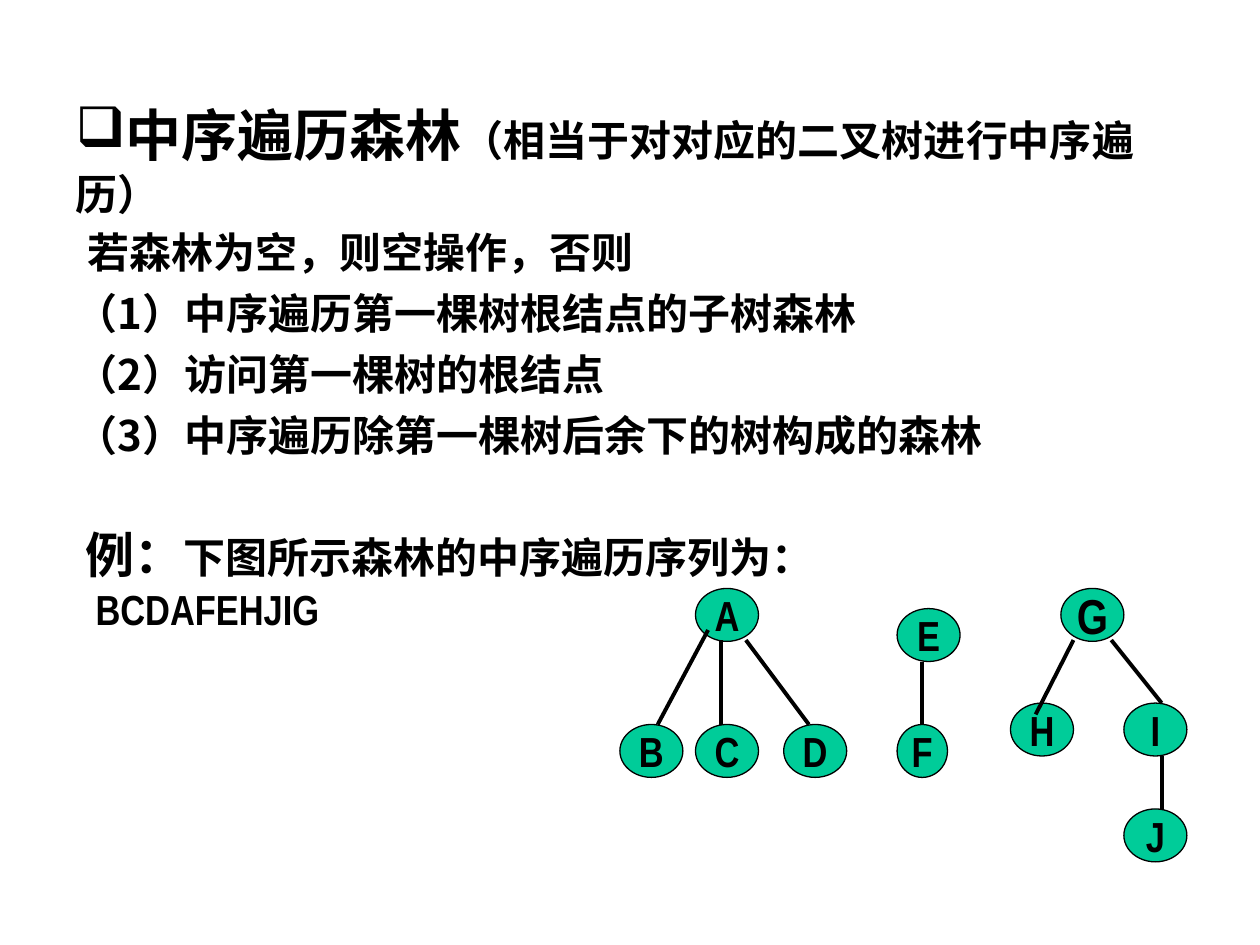
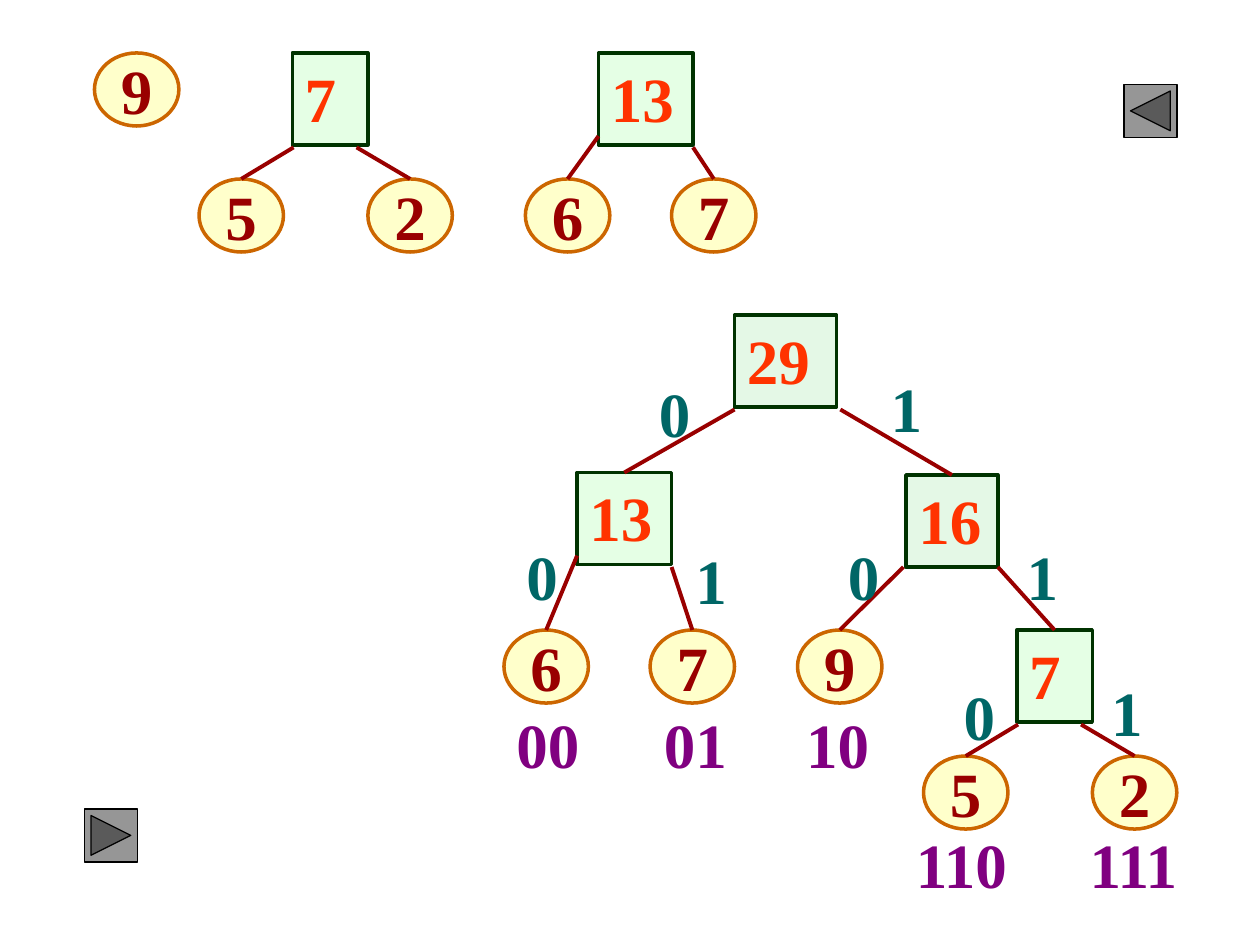
from lxml.etree import SubElement
from pptx import Presentation
from pptx.dml.color import RGBColor
from pptx.enum.shapes import MSO_CONNECTOR, MSO_SHAPE
from pptx.enum.text import MSO_ANCHOR, MSO_AUTO_SIZE, PP_ALIGN
from pptx.oxml.ns import qn
from pptx.util import Inches, Pt

COLORS = {
    "ink": "000000",
    "forest_node": "00CC99",
    "leaf": "FFFF99",
    "leaf_edge": "CC6600",
    "weight": "990000",
    "sum": "CCFFCC",
    "late_sum": "CAF2CE",
    "sum_edge": "003300",
    "sum_text": "FF3300",
    "bit": "006666",
    "code": "800080",
    "button": "969696",
}
CJK, NARROW, SERIF = "Noto Sans CJK SC", "Arial Narrow", "Times New Roman"


def rgb(name):
    return RGBColor.from_string(COLORS[name])


def write(paragraph, text, size=24, font=CJK, color="ink", bold=True):
    """Add one formatted run to a paragraph."""
    run = paragraph.add_run()
    run.text = text
    run.font.size = Pt(size)
    run.font.bold = bold
    run.font.color.rgb = rgb(color)
    run.font.name = font
    SubElement(run._r.get_or_add_rPr(), qn("a:ea"), typeface=font)


def indent(paragraph, inches):
    properties = paragraph._p.get_or_add_pPr()
    properties.set("marL", str(Inches(inches)))
    properties.set("indent", "0")


def add_box(slide, x, y, w, h, wrap=True):
    frame = slide.shapes.add_textbox(Inches(x), Inches(y), Inches(w), Inches(h)).text_frame
    frame.word_wrap = wrap
    return frame


def add_label(slide, text, x, y, w, color):
    label = add_box(slide, x, y, w, 0.7, wrap=False)
    write(label.paragraphs[0], text, size=36, font=SERIF, color=color)


def add_figure(slide, kind, x, y, w, h, fill, edge="ink", edge_width=0.75, opacity=None):
    figure = slide.shapes.add_shape(kind, Inches(x), Inches(y), Inches(w), Inches(h))
    figure.shadow.inherit = False
    figure.fill.solid()
    figure.fill.fore_color.rgb = rgb(fill)
    if opacity:
        tint = figure._element.spPr.find(qn("a:solidFill"))[0]
        SubElement(tint, qn("a:alpha"), val=str(opacity * 1000))
    figure.line.color.rgb = rgb(edge)
    figure.line.width = Pt(edge_width)
    return figure


def write_centered(figure, text, **text_format):
    frame = figure.text_frame
    frame.word_wrap = False
    frame.vertical_anchor = MSO_ANCHOR.MIDDLE
    frame.paragraphs[0].alignment = PP_ALIGN.CENTER
    write(frame.paragraphs[0], text, **text_format)


def add_branch(slide, start, end, color, child=None):
    """Draw a tree branch, joined to the top of the child where one is given."""
    branch = slide.shapes.add_connector(
        MSO_CONNECTOR.STRAIGHT, *(Inches(v) for v in (*start, *end)))
    branch.line.color.rgb = rgb(color)
    branch.line.width = Pt(2.25)
    SubElement(branch._element.spPr, qn("a:effectLst"))
    if child is not None:
        branch.end_connect(child, 0)


# Huffman tree parts

def add_leaf(slide, weight, x, y):
    leaf = add_figure(slide, MSO_SHAPE.OVAL, x, y, 0.67, 0.58, "leaf", "leaf_edge", 2, 50)
    write_centered(leaf, weight, size=36, font=SERIF, color="weight")
    return leaf


def add_sum(slide, total, x, y, w, fill="sum"):
    box = add_figure(slide, MSO_SHAPE.RECTANGLE, x, y, w, 0.73, fill, "sum_edge", 2, 50)
    frame = box.text_frame
    frame.word_wrap = True
    frame.vertical_anchor = MSO_ANCHOR.TOP
    frame.paragraphs[0].alignment = PP_ALIGN.LEFT
    write(frame.paragraphs[0], total, size=36, font=SERIF, color="sum_text")
    return box


def add_child_branch(slide, start, child):
    add_branch(slide, start, start, "weight", child)


def add_subtree(slide, total, x, y, w, drop, children):
    """Sum box over leaves given as (weight, leaf offset, branch start offset)."""
    parent = add_sum(slide, total, x, y, w)
    for weight, leaf_dx, (start_dx, start_dy) in children:
        leaf = add_leaf(slide, weight, x + leaf_dx, y + drop)
        add_child_branch(slide, (x + start_dx, y + start_dy), leaf)
    return parent


def add_thirteen(slide, x, y, drop):
    return add_subtree(slide, "13", x, y, 0.75, drop,
                       [("6", -0.58, (0, 0.66)), ("7", 0.58, (0.75, 0.75))])


def add_seven(slide, x, y):
    return add_subtree(slide, "7", x, y, 0.6, 1,
                       [("5", -0.74, (0.01, 0.75)), ("2", 0.6, (0.51, 0.75))])


def build_forest_slide(prs):
    slide = prs.slides.add_slide(prs.slide_layouts[5])

    # Heading with its box bullet
    title = slide.shapes.title
    title.left, title.top, title.width, title.height = (
        Inches(v) for v in (0.5, 0.75, 9.08, 0.63))
    title.text_frame.word_wrap = True
    title.text_frame.auto_size = MSO_AUTO_SIZE.NONE
    title.text_frame.vertical_anchor = MSO_ANCHOR.TOP
    heading = title.text_frame.paragraphs[0]
    heading.alignment = PP_ALIGN.LEFT
    indent(heading, 0)
    properties = heading._p.get_or_add_pPr()
    bullet_color = SubElement(properties, qn("a:buClr"))
    SubElement(bullet_color, qn("a:srgbClr"), val=COLORS["ink"])
    SubElement(properties, qn("a:buChar"), char="❑")
    write(heading, "中序遍历森林", size=32)
    write(heading, "（相当于对对应的二叉树进行中序遍历）")

    # Traversal steps
    steps = add_box(slide, 0.42, 1.75, 8.17, 2.3)
    opening = steps.paragraphs[0]
    indent(opening, 0.18)
    write(opening, "若森林为空，则空操作，否则")
    for text in ("（1）中序遍历第一棵树根结点的子树森林",
                 "（2）访问第一棵树的根结点",
                 "（3）中序遍历除第一棵树后余下的树构成的森林"):
        step = steps.add_paragraph()
        indent(step, 0.08)
        step.space_before = Pt(6)
        write(step, text)

    # Example and its answer
    example = add_box(slide, 0.58, 4.17, 6.75, 1.16)
    question, answer = example.paragraphs[0], example.add_paragraph()
    question.line_spacing = answer.line_spacing = 0.9
    write(question, "例：", size=28)
    write(question, "下图所示森林的中序遍历序列为：")
    indent(answer, 0.08)
    answer.space_before = Pt(2.4)
    write(answer, "BCDAFEHJIG", font=NARROW)

    # Forest of three trees
    nodes = {"A": (5.52, 4.67), "B": (4.92, 5.75), "C": (5.52, 5.75), "D": (6.22, 5.75),
             "E": (7.12, 4.83), "F": (7.12, 5.75),
             "G": (8.42, 4.67), "H": (8.02, 5.58), "I": (8.92, 5.58), "J": (8.92, 6.42)}
    for name, (x, y) in nodes.items():
        node = add_figure(slide, MSO_SHAPE.OVAL, x, y, 0.4 if name == "F" else 0.5, 0.42,
                          "forest_node")
        write_centered(node, name, size=28 if name == "G" else 24, font=NARROW)
    for start, end in (((5.62, 5), (5.22, 5.75)), ((5.72, 5.08), (5.72, 5.75)),
                       ((5.92, 5.08), (6.42, 5.75)), ((7.32, 5.25), (7.32, 5.75)),
                       ((8.52, 5.08), (8.22, 5.67)), ((8.82, 5.08), (9.22, 5.58)),
                       ((9.22, 6), (9.22, 6.42))):
        add_branch(slide, start, end, "ink")


def build_huffman_slide(prs):
    slide = prs.slides.add_slide(prs.slide_layouts[6])

    # Trees before the last merges
    add_leaf(slide, "9", 0.75, 0.42)
    add_seven(slide, 2.32, 0.42)
    add_thirteen(slide, 4.75, 0.42, drop=1)

    # Finished tree
    add_sum(slide, "29", 5.83, 2.5, 0.81, "late_sum")
    thirteen = add_thirteen(slide, 4.58, 3.75, drop=1.25)
    sixteen = add_sum(slide, "16", 7.19, 3.77, 0.73, "late_sum")
    nine = add_leaf(slide, "9", 6.33, 5)
    seven = add_seven(slide, 8.07, 5)
    for start, child in (((5.83, 3.25), thirteen), ((6.67, 3.25), sixteen),
                         ((7.17, 4.5), nine), ((7.92, 4.5), seven)):
        add_child_branch(slide, start, child)

    # Branch bits
    bits = {"0": [(5.13, 2.92), (4.08, 4.22), (6.63, 4.22), (7.55, 5.33)],
            "1": [(6.97, 2.88), (5.42, 4.25), (8.05, 4.22), (8.72, 5.3)]}
    for bit, places in bits.items():
        for x, y in places:
            add_label(slide, bit, x, y, 0.45, "bit")

    # Leaf codes
    for code, x, y in (("00", 4, 5.55), ("01", 5.17, 5.55), ("10", 6.3, 5.55),
                       ("110", 7.17, 6.5), ("111", 8.55, 6.5)):
        add_label(slide, code, x, y, 0.2 + 0.25 * len(code), "code")

    # Navigation buttons
    for kind, x, y in ((MSO_SHAPE.ACTION_BUTTON_BACK_OR_PREVIOUS, 8.92, 0.67),
                       (MSO_SHAPE.ACTION_BUTTON_FORWARD_OR_NEXT, 0.67, 6.42)):
        add_figure(slide, kind, x, y, 0.42, 0.42, "button")


def main():
    prs = Presentation()
    prs.slide_width, prs.slide_height = Inches(10), Inches(7.5)
    build_forest_slide(prs)
    build_huffman_slide(prs)
    prs.save("out.pptx")


if __name__ == "__main__":
    main()
